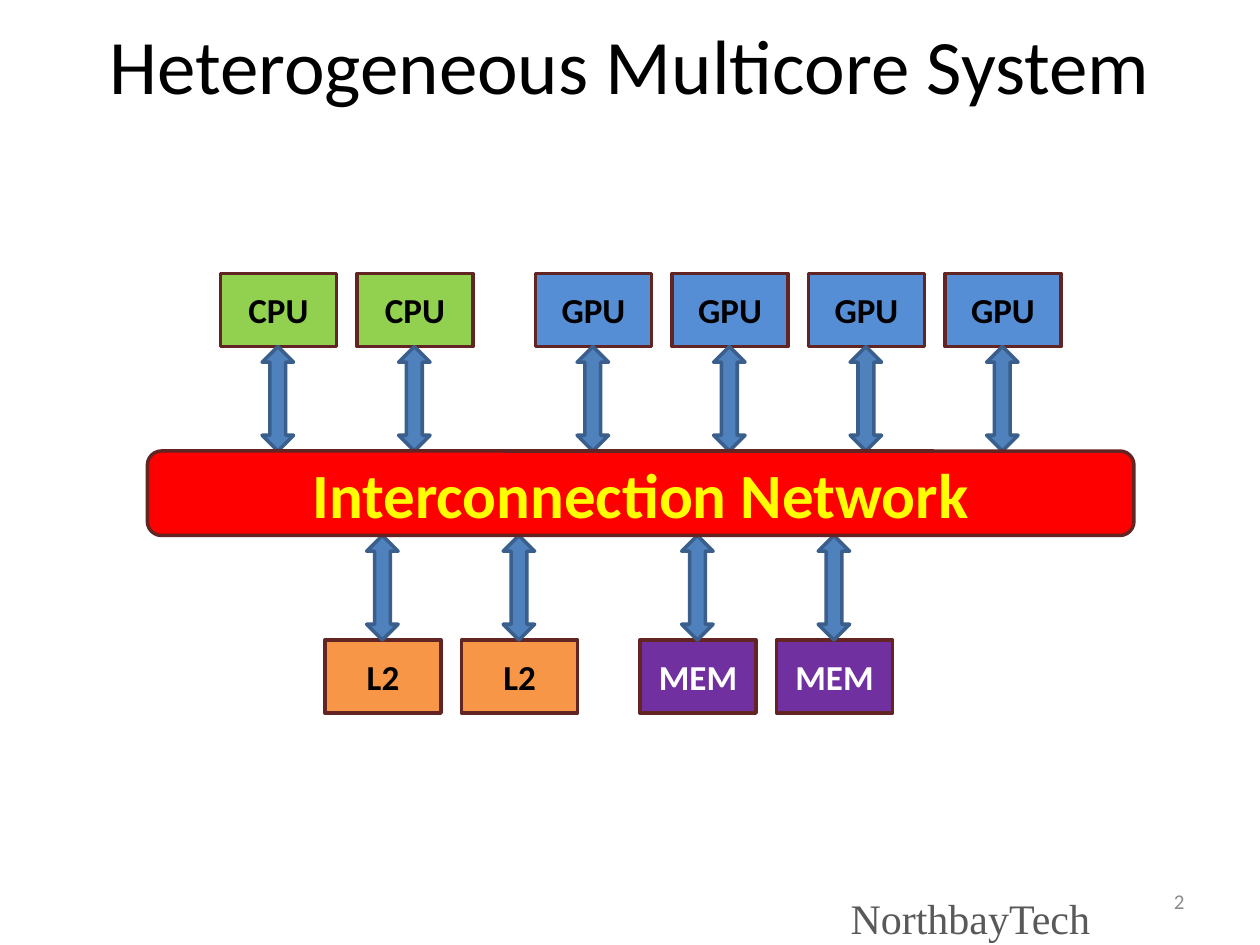
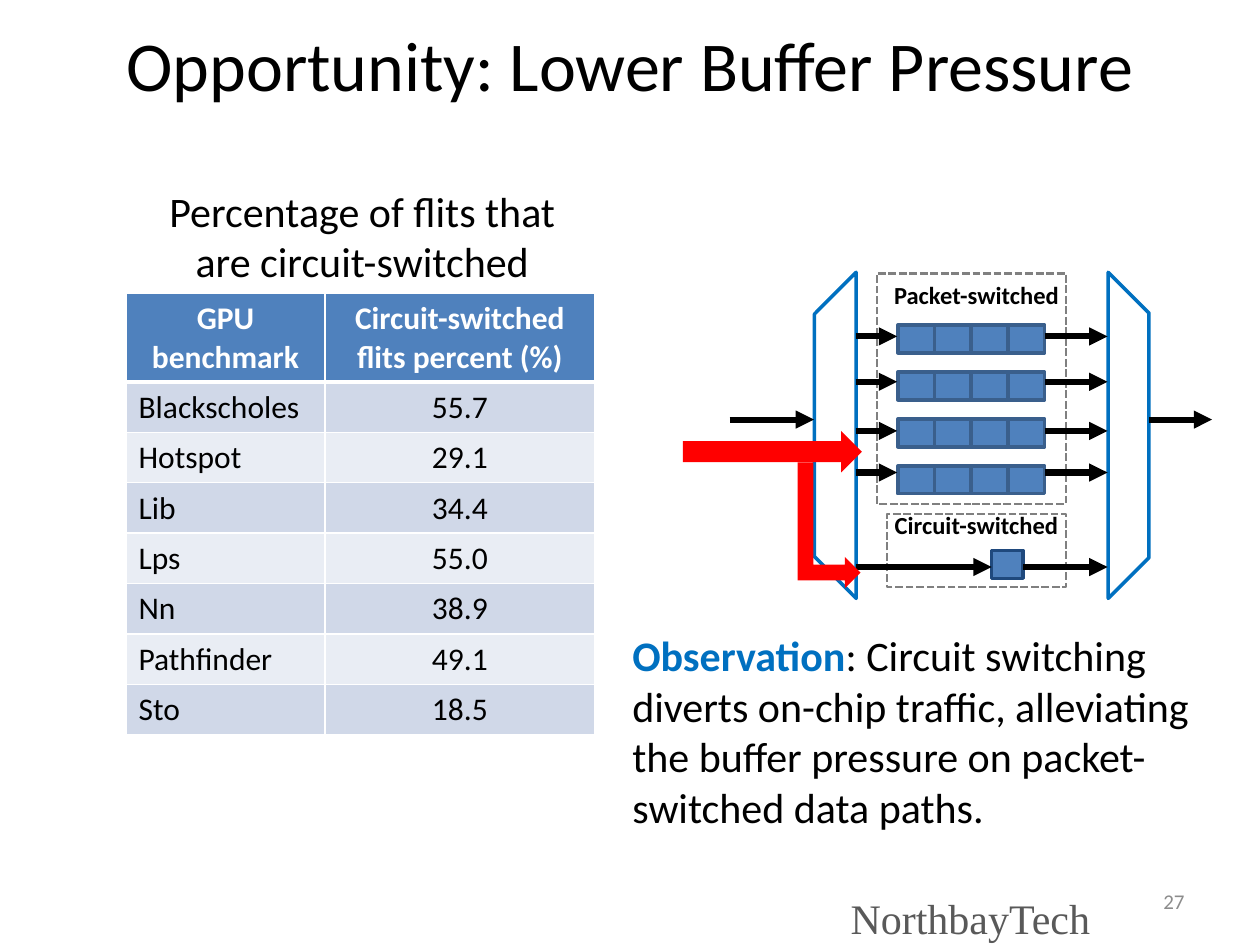
from lxml import etree
from pptx import Presentation
from pptx.dml.color import RGBColor
from pptx.enum.dml import MSO_LINE
from pptx.enum.shapes import MSO_CONNECTOR, MSO_SHAPE
from pptx.enum.text import MSO_ANCHOR, PP_ALIGN
from pptx.oxml.ns import qn
from pptx.util import Inches, Pt

LEFT, CENTER, RIGHT = PP_ALIGN.LEFT, PP_ALIGN.CENTER, PP_ALIGN.RIGHT
TOP, MIDDLE = MSO_ANCHOR.TOP, MSO_ANCHOR.MIDDLE
RECTANGLE, ROUNDED = MSO_SHAPE.RECTANGLE, MSO_SHAPE.ROUNDED_RECTANGLE
DOUBLE_ARROW, RIGHT_ARROW = MSO_SHAPE.LEFT_RIGHT_ARROW, MSO_SHAPE.RIGHT_ARROW
BENT_ARROW, STRIPE = MSO_SHAPE.BENT_UP_ARROW, MSO_SHAPE.DIAGONAL_STRIPE
STRAIGHT, DASHED = MSO_CONNECTOR.STRAIGHT, MSO_LINE.SQUARE_DOT

BLACK, WHITE, GRAY = "000000", "FFFFFF", "808080"
BLUE, DARK_BLUE, NAVY, BRIGHT_BLUE = "4F81BD", "3A5F8C", "1F497D", "0070C0"
GREEN, GPU_BLUE, ORANGE, PURPLE = "92D050", "558ED5", "F79646", "7030A0"
RED, YELLOW, MAROON = "FF0000", "FFFF00", "632523"
BANDS = ["D0D8E8", "E9EDF4"]
rgb = RGBColor.from_string


def write_text(frame, text, size=18, color=BLACK, bold=False, font="Calibri",
               align=LEFT, anchor=TOP, inset=None):
    frame.word_wrap = True
    frame.vertical_anchor = anchor
    if inset is not None:
        frame.margin_left = frame.margin_right = Inches(inset)
        frame.margin_top = frame.margin_bottom = Inches(inset)
    para = frame.paragraphs[0]
    para.alignment = align
    span = para.add_run()
    span.text = text
    span.font.name = font
    span.font.size = Pt(size)
    span.font.bold = bold
    span.font.color.rgb = rgb(color)


def add_block(page, kind, left, top, width, height, fill=None, line=None,
              weight=2, rotation=0):
    block = page.shapes.add_shape(kind, Inches(left), Inches(top),
                                  Inches(width), Inches(height))
    block.shadow.inherit = False
    block.rotation = rotation
    if fill:
        block.fill.solid()
        block.fill.fore_color.rgb = rgb(fill)
    else:
        block.fill.background()
    if line:
        block.line.color.rgb = rgb(line)
        block.line.width = Pt(weight)
    else:
        block.line.fill.background()
    return block


deck = Presentation()
deck.slide_width, deck.slide_height = Inches(10), Inches(7.5)

pages = []
for title, title_size, number in [("Heterogeneous Multicore System", 44, "2"),
                                  ("Opportunity: Lower Buffer Pressure", 40, "27")]:
    page = deck.slides.add_slide(deck.slide_layouts[6])
    pages.append(page)
    box = page.shapes.add_textbox(Inches(0), Inches(0.17), Inches(10), Inches(0.67))
    write_text(box.text_frame, title, size=title_size, align=CENTER, anchor=MIDDLE)
    box = page.shapes.add_textbox(Inches(7.17), Inches(6.95), Inches(2.33), Inches(0.4))
    write_text(box.text_frame, number, size=12, color="8C8C8C", align=RIGHT, anchor=MIDDLE)
    box = page.shapes.add_textbox(Inches(6.75), Inches(7.08), Inches(2.25), Inches(0.42))
    write_text(box.text_frame, "NorthbayTech", size=24, color="595959",
               font="Times New Roman", inset=0)

system_page, buffer_page = pages

unit_groups = [
    ("CPU", 2, 1.75, 2.17, 3.04, GREEN, BLACK),
    ("GPU", 4, 4.25, 2.17, 3.04, GPU_BLUE, BLACK),
    ("L2", 2, 2.58, 5.08, 4.54, ORANGE, BLACK),
    ("MEM", 2, 5.08, 5.08, 4.54, PURPLE, WHITE),
]
for name, count, start, top, arrow_top, fill, color in unit_groups:
    for index in range(count):
        left = start + index * 13 / 12
        unit = add_block(system_page, RECTANGLE, left, top, 0.92, 0.58, fill, MAROON)
        write_text(unit.text_frame, name, size=20, color=color, bold=True,
                   align=CENTER, anchor=MIDDLE)
        add_block(system_page, DOUBLE_ARROW, left + 0.04, arrow_top, 0.83, 0.25,
                  BLUE, DARK_BLUE, rotation=90)

network = add_block(system_page, ROUNDED, 1.17, 3.58, 7.83, 0.67, RED, MAROON)
write_text(network.text_frame, "Interconnection Network", size=36, color=YELLOW,
           bold=True, align=CENTER, anchor=MIDDLE)

box = buffer_page.shapes.add_textbox(Inches(1), Inches(1.42), Inches(3.75), Inches(0.91))
write_text(box.text_frame, "Percentage of flits that are circuit-switched",
           size=24, align=CENTER)

for label, label_top, left, top, width, height in [
        ("Packet-switched", 2.17, 6.96, 2.17, 1.5, 1.83),
        ("Circuit-switched", 4, 7.04, 4.08, 1.42, 0.58)]:
    region = add_block(buffer_page, RECTANGLE, left, top, width, height,
                       line=GRAY, weight=1.5)
    region.line.dash_style = DASHED
    box = buffer_page.shapes.add_textbox(Inches(6.96), Inches(label_top),
                                         Inches(1.58), Inches(0.34))
    write_text(box.text_frame, label, size=14, bold=True, align=CENTER)

for row in range(4):
    for column in range(4):
        add_block(buffer_page, RECTANGLE, 7.125 + column * 0.292, 2.58 + row * 0.373,
                  0.29, 0.22, BLUE, DARK_BLUE)
add_block(buffer_page, RECTANGLE, 7.87, 4.37, 0.25, 0.22, BLUE, NAVY)

for left, rotation, inner_edge in [(5.88, 315, 0.744), (7.88, 135, 0.75)]:
    switch = add_block(buffer_page, STRIPE, left, 2.54, 1.83, 1.83, WHITE,
                       BRIGHT_BLUE, rotation=rotation)
    switch.adjustments[0] = inner_edge

flows = [(5.79, 6.46, 3.33), (9.12, 9.62, 3.33), (6.79, 7.87, 4.5), (8.12, 8.79, 4.5)]
for height in [2.67, 3.03, 3.42, 3.75]:
    flows += [(6.79, 7.12, height), (8.29, 8.79, height)]
for start, end, height in flows:
    flow = buffer_page.shapes.add_connector(STRAIGHT, Inches(start), Inches(height),
                                            Inches(end), Inches(height))
    flow.line.color.rgb = rgb(BLACK)
    flow.line.width = Pt(3.5)
    etree.SubElement(flow.line._get_or_add_ln(), qn("a:tailEnd"), type="triangle")
    etree.SubElement(flow._element.spPr, qn("a:effectLst"))

benchmarks = [
    ("GPU benchmark", "Circuit-switched flits percent (%)"),
    ("Blackscholes", "55.7"),
    ("Hotspot", "29.1"),
    ("Lib", "34.4"),
    ("Lps", "55.0"),
    ("Nn", "38.9"),
    ("Pathfinder", "49.1"),
    ("Sto", "18.5"),
]
table = buffer_page.shapes.add_table(len(benchmarks), 2, Inches(1), Inches(2.33),
                                     Inches(3.72), Inches(3.5)).table
table.columns[0].width, table.columns[1].width = Inches(1.58), Inches(2.14)
for row, values in enumerate(benchmarks):
    header = row == 0
    table.rows[row].height = Inches(0.69 if header else 0.4)
    for column, value in enumerate(values):
        cell = table.cell(row, column)
        properties = cell._tc.get_or_add_tcPr()
        for side in ["lnL", "lnR", "lnT", "lnB"]:
            thick = (row, side) in [(0, "lnB"), (1, "lnT")]
            border = etree.SubElement(properties, qn("a:" + side),
                                      w=str(Pt(3 if thick else 1)))
            paint = etree.SubElement(border, qn("a:solidFill"))
            etree.SubElement(paint, qn("a:srgbClr"), val=WHITE)
        cell.fill.solid()
        cell.fill.fore_color.rgb = rgb(BLUE if header else BANDS[(row - 1) % 2])
        write_text(cell.text_frame, value, color=WHITE if header else BLACK, bold=header,
                   align=CENTER if header or column else LEFT)

add_block(buffer_page, BENT_ARROW, 6.08, 3.92, 1, 0.5, RED, rotation=90)
add_block(buffer_page, RIGHT_ARROW, 5.42, 3.42, 1.42, 0.33, RED)

box = buffer_page.shapes.add_textbox(Inches(4.92), Inches(4.95), Inches(4.83), Inches(1.72))
write_text(box.text_frame, "Observation", size=24, color=BRIGHT_BLUE, bold=True)
write_text(box.text_frame, ": Circuit switching diverts on-chip traffic, alleviating "
           "the buffer pressure on packet-switched data paths.", size=24)

deck.save("out.pptx")
